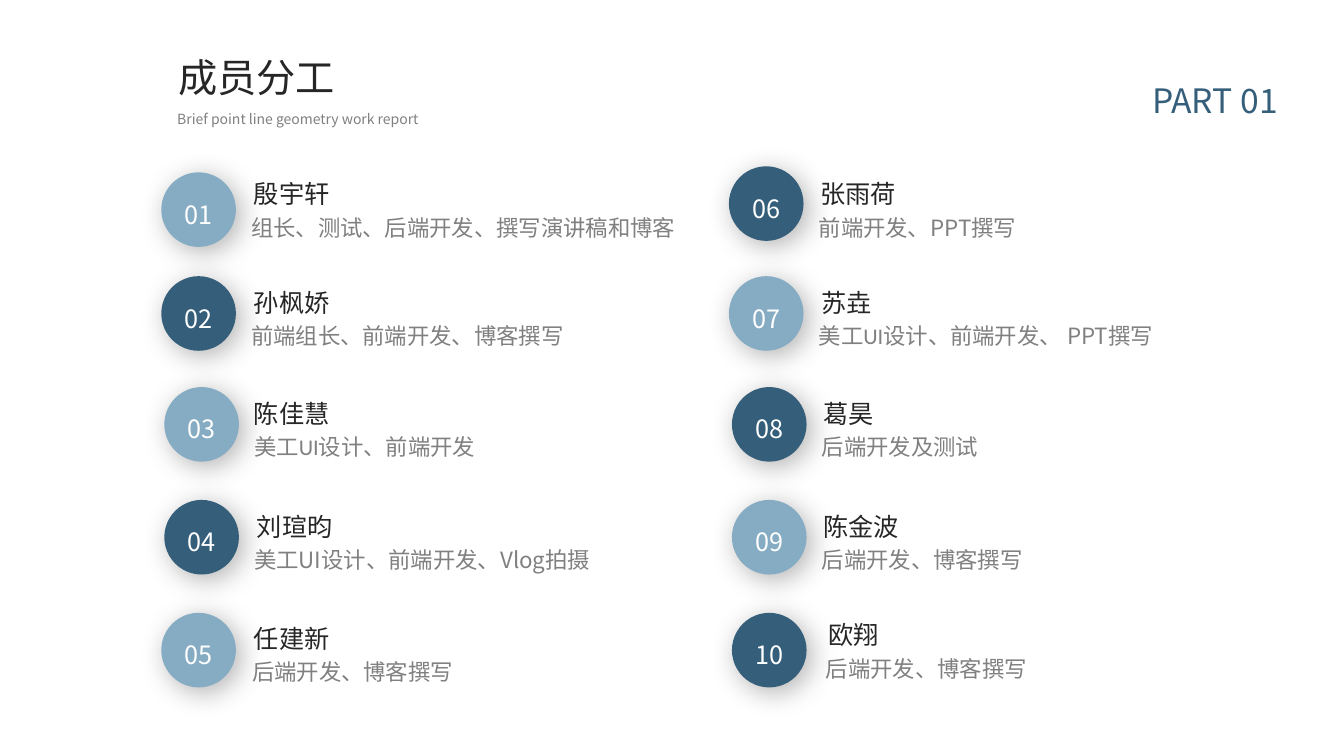
from lxml.etree import SubElement
from pptx import Presentation
from pptx.dml.color import RGBColor
from pptx.enum.shapes import MSO_SHAPE
from pptx.enum.text import MSO_ANCHOR, MSO_AUTO_SIZE, PP_ALIGN
from pptx.oxml.ns import qn
from pptx.util import Inches, Pt

DARK = RGBColor(0x34, 0x5E, 0x79)
LIGHT = RGBColor(0x86, 0xAC, 0xC4)
WHITE = RGBColor(0xFF, 0xFF, 0xFF)
INK = RGBColor(0x26, 0x26, 0x26)
GRAY = RGBColor(0x80, 0x80, 0x80)
SANS, ARIAL, CALIBRI = "Noto Sans CJK SC", "Arial", "Calibri"

TITLE = dict(size=Pt(28), color=INK, space=1.2)
BRIEF = dict(size=Pt(10), color=GRAY, space=1.0)
PART = dict(size=Pt(24), color=DARK, space=1.2, align=PP_ALIGN.CENTER)
NUM = dict(size=Pt(18), color=WHITE, space=1.3, align=PP_ALIGN.CENTER)
NAME = dict(size=Pt(18), color=INK, space=1.3)
JOB = dict(size=Pt(16), color=GRAY, space=1.3)

DISC = 0.74
JOB_DROP = 0.41
TEAM = [
    ("殷宇轩", [("组长、测试、后端开发、撰写演讲稿和博客", SANS)], (1.6, 1.71), (2.42, 1.63), 2.49),
    ("孙枫娇", [("前端组长、前端开发、博客撰写", SANS)], (1.6, 2.74), (2.42, 2.71), 2.49),
    ("陈佳慧", [("美工UI设计、前端开发", CALIBRI)], (1.63, 3.84), (2.42, 3.81), 2.52),
    ("刘瑄昀", [("美工UI设计、前端开发、Vlog拍摄", SANS)], (1.63, 4.96), (2.45, 4.93), 2.52),
    ("任建新", [("后端开发、博客撰写", SANS)], (1.6, 6.08), (2.42, 6.04), 2.5),
    ("张雨荷", [("前端开发、PPT撰写", SANS)], (7.23, 1.65), (8.04, 1.63), 8.12),
    ("苏垚", [("美工UI设计、前端开发、", CALIBRI), (" PPT撰写", SANS)],
     (7.23, 2.74), (8.05, 2.71), 8.12),
    ("葛昊", [("后端开发及测试", SANS)], (7.26, 3.84), (8.07, 3.81), 8.15),
    ("陈金波", [("后端开发、博客撰写", SANS)], (7.26, 4.96), (8.07, 4.93), 8.15),
    ("欧翔", [("后端开发、博客撰写", SANS)], (7.26, 6.08), (8.12, 6.01), 8.19),
]


def write(shape, runs, style, **frame):
    """Fill a shape with one paragraph of (text, font) runs."""
    body = shape.text_frame
    base = dict(word_wrap=True, auto_size=MSO_AUTO_SIZE.NONE,
                vertical_anchor=MSO_ANCHOR.TOP)
    for key, val in {**base, **frame}.items():
        setattr(body, key, val)
    para = body.paragraphs[0]
    para.alignment = style.get("align", PP_ALIGN.LEFT)
    para.line_spacing = style["space"]
    for text, face in runs:
        run = para.add_run()
        run.text = text
        for key, val in dict(name=face, size=style["size"], bold=False).items():
            setattr(run.font, key, val)
        run.font.color.rgb = style["color"]
        SubElement(run.font._element, qn("a:ea"), typeface=SANS)


def label(slide, box, runs, style, **frame):
    """Add a text box in the given box."""
    area = slide.shapes.add_textbox(*map(Inches, box))
    write(area, runs, style, **frame)


def shade(shape):
    """Give a shape a soft shadow to the lower right."""
    shape.shadow.inherit = False
    glow = SubElement(shape._element.spPr.find(qn("a:effectLst")), qn("a:outerShdw"),
                      blurRad=str(Pt(20)), dist=str(Pt(5)), dir=str(45 * 60000),
                      algn="tl", rotWithShape="0")
    tone = SubElement(glow, qn("a:srgbClr"), val="000000")
    SubElement(tone, qn("a:alpha"), val="30000")


def header(slide, left, top):
    """Place the title, its subtitle and the part mark."""
    title = slide.shapes.title
    box = dict(left=left, top=top, width=1.96, height=0.62)
    for key, val in box.items():
        setattr(title, key, Inches(val))
    write(title, [("成员分工", SANS)], TITLE)
    label(slide, (left - 0.01, top + 0.66, 2.6, 0.27),
          [("Brief point line geometry work report", SANS)], BRIEF, word_wrap=False)
    label(slide, (left + 9.51, top + 0.27, 1.74, 0.53), [("PART 01", SANS)], PART)


def member(slide, num, name, job, disc, head, left):
    """Place one numbered disc with a name and a job line."""
    dot = slide.shapes.add_shape(MSO_SHAPE.OVAL, *map(Inches, (*disc, DISC, DISC)))
    dot.fill.solid()
    dot.fill.fore_color.rgb = LIGHT if num % 2 else DARK
    dot.line.fill.background()
    shade(dot)
    write(dot, [(f"{num:02}", SANS)], NUM, vertical_anchor=MSO_ANCHOR.MIDDLE)
    face = ARIAL if num > 3 else SANS
    label(slide, (*head, 2.16, 0.46), [(name, face)], NAME)
    label(slide, (left, head[1] + JOB_DROP, 4.25, 0.39), job, JOB,
          margin_left=0, margin_top=0, margin_right=0, margin_bottom=0)


def main():
    """Build the slide and save it."""
    deck = Presentation()
    deck.slide_width, deck.slide_height = Inches(13.33), Inches(7.5)
    slide = deck.slides.add_slide(deck.slide_layouts[5])
    header(slide, 1.67, 0.39)
    for num, row in enumerate(TEAM, 1):
        member(slide, num, *row)
    deck.save("out.pptx")


if __name__ == "__main__":
    main()
